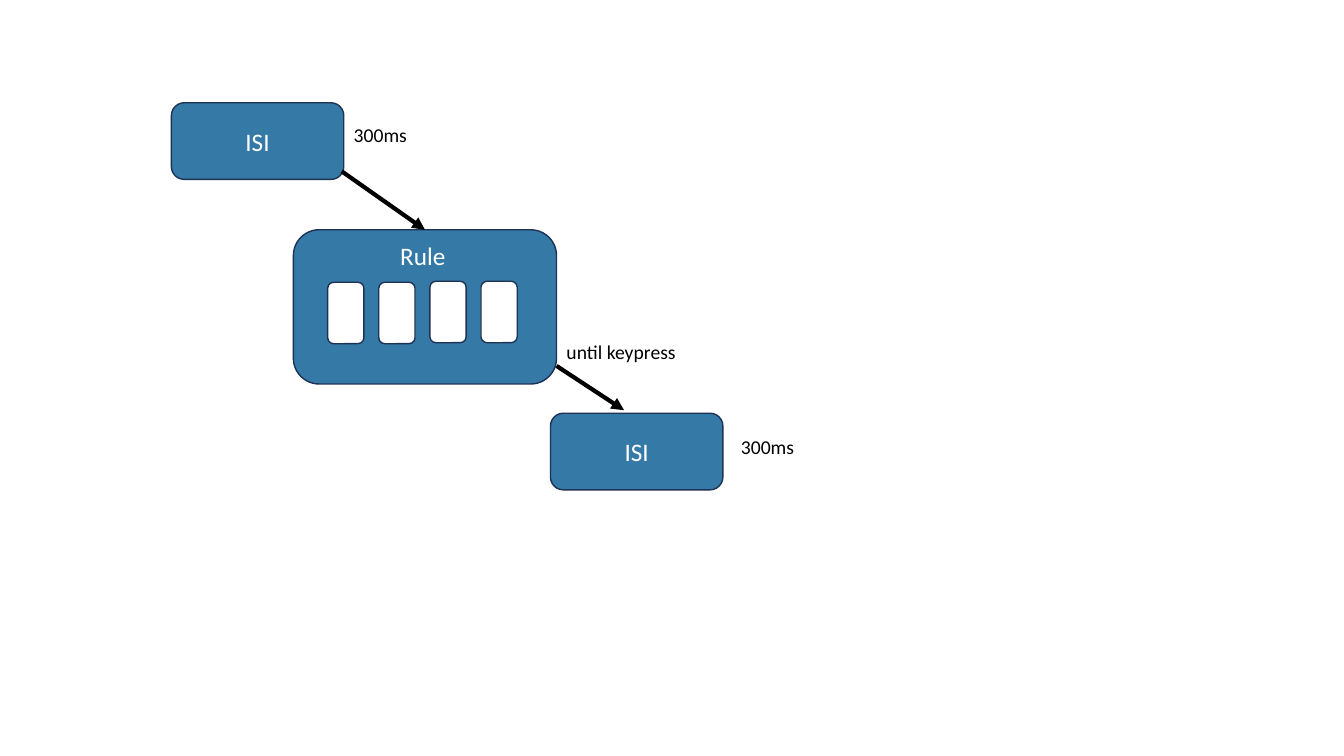
from dataclasses import dataclass

from lxml import etree
from pptx import Presentation
from pptx import util as u
from pptx.dml.color import RGBColor
from pptx.enum import shapes, text
from pptx.oxml import ns
from pptx.shapes.autoshape import Shape
from pptx.shapes.connector import Connector
from pptx.slide import Slide

COLORS = {"screen": "357AA7", "outline": "1E3256", "white": "FFFFFF", "black": "000000"}
FONT = "Calibri"


@dataclass
class Box:
    left: float
    top: float
    width: float
    height: float
    fill: str = "screen"
    label: str = ""


@dataclass
class Label:
    left: float
    top: float
    width: float
    height: float
    words: str
    size: int = 14
    color: str = "black"


@dataclass
class Arrow:
    start: tuple[float, float]
    end: tuple[float, float]


RULE = Box(2.91, 2.28, 2.61, 1.53)
ISI_SCREENS = [Box(left, top, 1.71, 0.76, label="ISI") for left, top in [(1.7, 1.02), (5.46, 4.1)]]
CARDS = [
    Box(3.25 + 0.507 * index, top, 0.36, 0.61, "white")
    for index, top in enumerate([2.8, 2.8, 2.79, 2.79])
]
LABELS = [
    Label(3.41, 1.17, 1.71, 0.34, "300ms"),
    Label(5.52, 3.32, 1.71, 0.34, "until keypress"),
    Label(7.25, 4.27, 1.71, 0.34, "300ms"),
    Label(3.87, 2.33, 1.31, 0.71, "Rule", 18, "white"),
]
TO_RULE = Arrow((3.39, 1.7), (4.21, 2.28))
TO_LAST_ISI = Arrow((5.52, 3.63), (6.19, 4.07))


def color(name: str) -> RGBColor:
    return RGBColor.from_string(COLORS[name])


def write(shape: Shape, words: str, size: int, ink: str) -> None:
    para = shape.text_frame.paragraphs[0]
    para.text = words
    para.font.name = FONT
    para.font.size = u.Pt(size)
    para.font.color.rgb = color(ink)


def draw_box(page: Slide, box: Box) -> Shape:
    shape = page.shapes.add_shape(
        shapes.MSO_SHAPE.ROUNDED_RECTANGLE,
        u.Inches(box.left), u.Inches(box.top), u.Inches(box.width), u.Inches(box.height),
    )
    shape.shadow.inherit = False
    shape.fill.solid()
    shape.fill.fore_color.rgb = color(box.fill)
    shape.line.color.rgb = color("outline")
    shape.line.width = u.Pt(1)
    if box.label:
        write(shape, box.label, 18, "white")
        shape.text_frame.vertical_anchor = text.MSO_ANCHOR.MIDDLE
        shape.text_frame.paragraphs[0].alignment = text.PP_ALIGN.CENTER
    return shape


def draw_label(page: Slide, label: Label) -> None:
    shape = page.shapes.add_textbox(
        u.Inches(label.left), u.Inches(label.top), u.Inches(label.width), u.Inches(label.height)
    )
    shape.text_frame.word_wrap = True
    write(shape, label.words, label.size, label.color)


def draw_arrow(page: Slide, arrow: Arrow) -> Connector:
    ends = [u.Inches(value) for value in (*arrow.start, *arrow.end)]
    line = page.shapes.add_connector(shapes.MSO_CONNECTOR.STRAIGHT, *ends)
    line.line.color.rgb = color("black")
    line.line.width = u.Pt(3)
    etree.SubElement(line.line._get_or_add_ln(), ns.qn("a:tailEnd"), type="triangle")
    etree.SubElement(line._element.spPr, ns.qn("a:effectLst"))
    return line


def main() -> None:
    deck = Presentation()
    deck.slide_width, deck.slide_height = u.Inches(13.33), u.Inches(7.5)
    page = deck.slides.add_slide(deck.slide_layouts[6])

    rule = draw_box(page, RULE)
    for box in ISI_SCREENS:
        draw_box(page, box)
    draw_arrow(page, TO_RULE).end_connect(rule, 0)
    draw_arrow(page, TO_LAST_ISI)
    for label in LABELS:
        draw_label(page, label)
    for card in CARDS:
        draw_box(page, card)

    deck.save("out.pptx")


if __name__ == "__main__":
    main()
